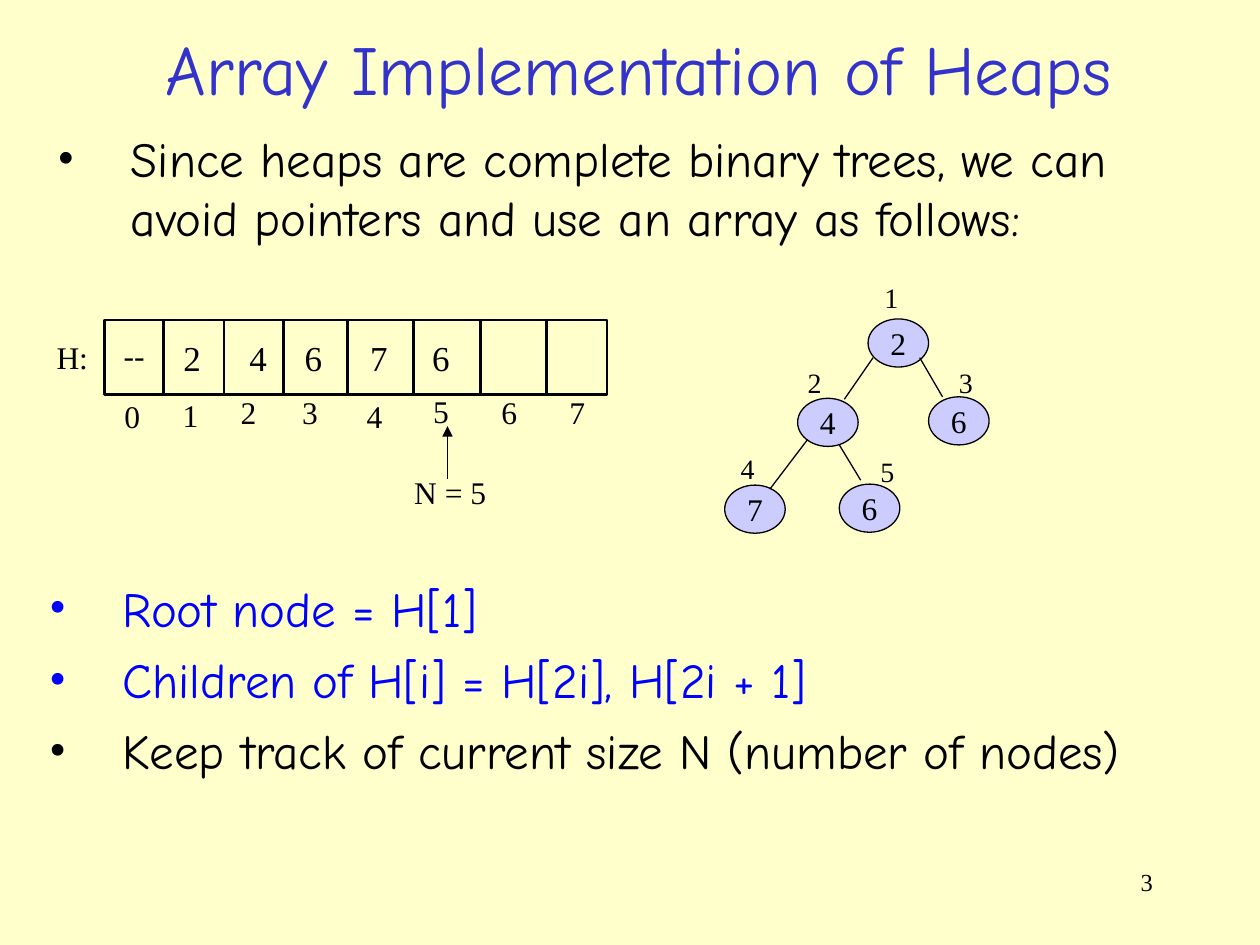
from lxml import etree
from pptx import Presentation
from pptx.dml.color import RGBColor
from pptx.enum.shapes import MSO_CONNECTOR, MSO_SHAPE
from pptx.enum.text import MSO_ANCHOR, PP_ALIGN
from pptx.oxml.ns import qn
from pptx.util import Cm, Pt

STRAIGHT = MSO_CONNECTOR.STRAIGHT
RECTANGLE, OVAL = MSO_SHAPE.RECTANGLE, MSO_SHAPE.OVAL
LEFT, CENTER, RIGHT = PP_ALIGN.LEFT, PP_ALIGN.CENTER, PP_ALIGN.RIGHT
TOP, MIDDLE = MSO_ANCHOR.TOP, MSO_ANCHOR.MIDDLE

CREAM = RGBColor(0xFF, 0xFF, 0xCC)
BLACK = RGBColor(0x00, 0x00, 0x00)
BLUE = RGBColor(0x00, 0x00, 0xFF)
TITLE_BLUE = RGBColor(0x33, 0x33, 0xCC)
LAVENDER = RGBColor(0xCC, 0xCC, 0xFF)
HEADING_FONT, DIAGRAM_FONT = "Comic Neue", "Times New Roman"

presentation = Presentation()
presentation.slide_width, presentation.slide_height = Cm(25.4), Cm(19.05)
slide = presentation.slides.add_slide(presentation.slide_layouts[6])
slide.background.fill.solid()
slide.background.fill.fore_color.rgb = CREAM
shapes = slide.shapes


def write(shape, *lines, size=18, font=DIAGRAM_FONT, colors=(BLACK,),
          align=LEFT, anchor=TOP, wrap=False, bullet=False):
    """Fill a shape with one paragraph per line, each in its own colour."""
    frame = shape.text_frame
    frame.word_wrap = wrap
    frame.vertical_anchor = anchor
    for number, (line, color) in enumerate(zip(lines, colors)):
        paragraph = frame.add_paragraph() if number else frame.paragraphs[0]
        paragraph.alignment = align
        run = paragraph.add_run()
        run.text = line
        run.font.size, run.font.name = Pt(size), font
        run.font.color.rgb = color
        if bullet:
            paragraph.space_before = Pt(7)
            properties = paragraph._p.get_or_add_pPr()
            properties.set("marL", str(Cm(1.48)))
            properties.set("indent", str(-Cm(1.48)))
            etree.SubElement(properties, qn("a:buFont"), typeface=DIAGRAM_FONT)
            etree.SubElement(properties, qn("a:buChar"), char="•")


def draw_line(x1, y1, x2, y2, width=0.75):
    connector = shapes.add_connector(STRAIGHT, Cm(x1), Cm(y1), Cm(x2), Cm(y2))
    connector.line.color.rgb = BLACK
    connector.line.width = Pt(width)
    etree.SubElement(connector._element.spPr, qn("a:effectLst"))
    return connector


# Heading, bullets and slide number
title = shapes.add_textbox(Cm(0.76), Cm(0.4), Cm(24.23), Cm(1.93))
write(title, "Array Implementation of Heaps", size=40, font=HEADING_FONT,
      colors=[TITLE_BLUE], align=CENTER, anchor=MIDDLE, wrap=True)

introduction = shapes.add_textbox(Cm(0.91), Cm(2.46), Cm(23.32), Cm(2.79))
write(introduction,
      "Since heaps are complete binary trees, we can avoid pointers and use an array as follows:",
      size=28, font=HEADING_FONT, wrap=True, bullet=True)

rules = shapes.add_textbox(Cm(0.74), Cm(11.53), Cm(23.39), Cm(5.64))
write(rules, "Root node = H[1]", "Children of H[i] = H[2i], H[2i + 1]",
      "Keep track of current size N (number of nodes)", size=28,
      font=HEADING_FONT, colors=[BLUE, BLUE, BLACK], wrap=True, bullet=True)

slide_number = shapes.add_textbox(Cm(18.21), Cm(17.35), Cm(5.28), Cm(1.27))
write(slide_number, "3", size=14, align=RIGHT, wrap=True)

# Array with its values, indices and size marker
ARRAY_TOP, ARRAY_HEIGHT = 6.45, 1.5
array = shapes.add_shape(RECTANGLE, Cm(2.11), Cm(ARRAY_TOP), Cm(10.13), Cm(ARRAY_HEIGHT))
array.shadow.inherit = False
array.fill.background()
array.line.color.rgb = BLACK
array.line.width = Pt(1.5)
for x in (3.3, 4.52, 5.72, 7.01, 8.33, 9.68, 11.02):
    draw_line(x, ARRAY_TOP, x, ARRAY_TOP + ARRAY_HEIGHT, width=1.5)

name_label = shapes.add_textbox(Cm(0.89), Cm(6.68), Cm(1.2), Cm(1.02))
write(name_label, "H:")
empty_value = shapes.add_textbox(Cm(2.11), Cm(6.65), Cm(1.19), Cm(1.02))
write(empty_value, "--", align=CENTER)
for value, x in zip("24676", (3.45, 4.78, 5.89, 7.21, 8.46)):
    value_label = shapes.add_textbox(Cm(x), Cm(6.65), Cm(0.86), Cm(1.12))
    write(value_label, value, size=20)

index_positions = [(2.26, 7.87), (3.43, 7.85), (4.6, 7.8), (5.84, 7.8),
                   (7.14, 7.87), (8.48, 7.77), (9.86, 7.8), (11.23, 7.8)]
for index, (x, y) in enumerate(index_positions):
    index_label = shapes.add_textbox(Cm(x), Cm(y), Cm(0.81), Cm(1.02))
    write(index_label, str(index))

size_arrow = draw_line(9.02, 9.65, 9.02, 8.59)
etree.SubElement(size_arrow.line._get_or_add_ln(), qn("a:tailEnd"), type="triangle")
size_label = shapes.add_textbox(Cm(8.1), Cm(9.42), Cm(2.1), Cm(1.02))
write(size_label, "N = 5")

# Tree: value, node position, position of its index label
tree_nodes = [
    ("2", 17.5, 6.43, 17.58, 5.54),
    ("4", 16.08, 8.03, 16.03, 7.24),
    ("6", 18.72, 8.0, 19.08, 7.24),
    ("7", 14.61, 9.78, 14.68, 8.97),
    ("6", 16.92, 9.76, 17.5, 9.04),
]
for index, (value, x, y, label_x, label_y) in enumerate(tree_nodes, start=1):
    node = shapes.add_shape(OVAL, Cm(x), Cm(y), Cm(1.22), Cm(0.97))
    node.shadow.inherit = False
    node.fill.solid()
    node.fill.fore_color.rgb = LAVENDER
    node.line.color.rgb = BLACK
    node.line.width = Pt(0.75)
    write(node, value, align=CENTER, anchor=MIDDLE)
    node_label = shapes.add_textbox(Cm(label_x), Cm(label_y), Cm(0.79), Cm(0.94))
    write(node_label, str(index), size=16, wrap=True)

tree_edges = [
    (17.6, 7.21, 17.02, 8.05),
    (18.54, 7.21, 19.0, 8.0),
    (16.28, 8.86, 15.52, 9.86),
    (16.92, 8.97, 17.35, 9.68),
]
for edge in tree_edges:
    draw_line(*edge)

presentation.save("out.pptx")
